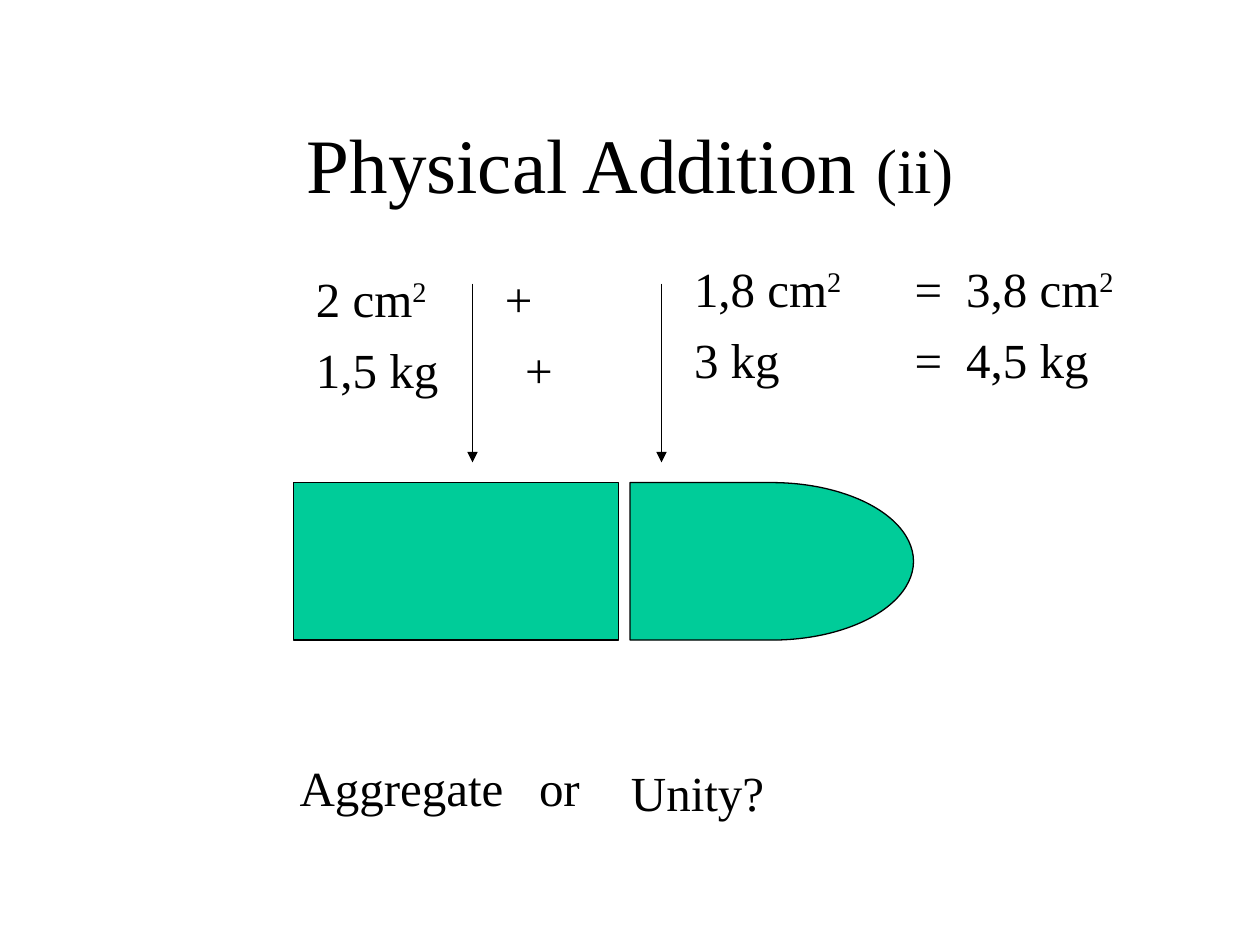
from dataclasses import dataclass

from lxml.etree import SubElement
from pptx import Presentation
from pptx.dml.color import RGBColor
from pptx.enum.shapes import MSO_CONNECTOR as Connector, MSO_SHAPE as Shape
from pptx.enum.text import MSO_ANCHOR as Anchor, MSO_AUTO_SIZE as AutoSize, PP_ALIGN as Align
from pptx.oxml.ns import qn
from pptx.util import Inches, Pt


@dataclass(frozen=True)
class Theme:
    font: str = "Times New Roman"
    ink: RGBColor = RGBColor(0x00, 0x00, 0x00)
    body_fill: RGBColor = RGBColor(0x00, 0xCC, 0x99)
    title_size: int = 44
    suffix_size: int = 36
    text_size: int = 28
    paragraph_gap: int = 7
    line_width: float = 0.75


THEME = Theme()


def add_run(paragraph, text, size=THEME.text_size, superscript=False):
    run = paragraph.add_run()
    run.text = text
    run.font.name = THEME.font
    run.font.size = Pt(size)
    run.font.color.rgb = THEME.ink
    if superscript:
        run.font._element.set("baseline", "30000")


def add_tabs(paragraph, positions):
    tab_list = SubElement(paragraph._p.get_or_add_pPr(), qn("a:tabLst"))
    for position in positions:
        SubElement(tab_list, qn("a:tab"), pos=str(Inches(position)), algn="l")


def add_text(slide, box, lines, tabs=()):
    shape = slide.shapes.add_textbox(*map(Inches, box))
    frame = shape.text_frame
    frame.word_wrap = True
    for index, line in enumerate(lines):
        paragraph = frame.paragraphs[0] if index == 0 else frame.add_paragraph()
        if index:
            paragraph.space_before = Pt(THEME.paragraph_gap)
        if tabs:
            add_tabs(paragraph, tabs[index])
        for part in line.replace("²", "|²|").split("|"):
            if part:
                add_run(paragraph, part.replace("²", "2"), superscript=part == "²")


def add_title(slide, box):
    title = slide.shapes.title
    title.left, title.top, title.width, title.height = map(Inches, box)
    frame = title.text_frame
    frame.auto_size = AutoSize.NONE
    frame.vertical_anchor = Anchor.MIDDLE
    paragraph = frame.paragraphs[0]
    paragraph.alignment = Align.CENTER
    add_run(paragraph, "Physical Addition ", size=THEME.title_size)
    add_run(paragraph, "(ii)", size=THEME.suffix_size)


def add_sums(slide, box):
    left, top, width, height = box
    split = 3
    add_text(slide, (left, top + 0.08, split, height),
             ["2 cm²\t+", "1,5 kg\t+"], tabs=[(1.5, 1.66), (1.66,)])
    add_text(slide, (left + split, top, width - split, height),
             ["1,8 cm²\t=\t3,8 cm²", "3 kg\t=\t4,5 kg"], tabs=[(1.75, 2.16)] * 2)


def add_body(slide, kind, box):
    shape = slide.shapes.add_shape(kind, *map(Inches, box))
    shape.shadow.inherit = False
    shape.fill.solid()
    shape.fill.fore_color.rgb = THEME.body_fill
    shape.line.color.rgb = THEME.ink
    shape.line.width = Pt(THEME.line_width)


def add_arrow(slide, x, top, bottom):
    arrow = slide.shapes.add_connector(
        Connector.STRAIGHT, Inches(x), Inches(top), Inches(x), Inches(bottom))
    arrow.line.color.rgb = THEME.ink
    arrow.line.width = Pt(THEME.line_width)
    SubElement(arrow.line._get_or_add_ln(), qn("a:tailEnd"), type="triangle")
    SubElement(arrow._element.spPr, qn("a:effectLst"))


def add_bodies(slide, box):
    left, top, width, height = box
    block_width, gap = 2.58, 0.09
    nose_left = left + block_width + gap
    add_body(slide, Shape.FLOWCHART_PROCESS, (left, top, block_width, height))
    add_body(slide, Shape.FLOWCHART_DELAY,
             (nose_left, top, width - block_width - gap, height))
    for x in (left + 1.42, nose_left + 0.25):
        add_arrow(slide, x, top - 1.58, top - 0.16)


def add_question(slide, box):
    left, top, width, height = box
    split = 2.63
    add_text(slide, (left, top, split, height), ["Aggregate\tor"], tabs=[(1.9,)])
    add_text(slide, (left + split, top + 0.04, width - split, height), ["Unity?"])


def main():
    presentation = Presentation()
    presentation.slide_width = Inches(10)
    presentation.slide_height = Inches(7.5)
    slide = presentation.slides.add_slide(presentation.slide_layouts[5])
    add_title(slide, (0.75, 0.67, 8.5, 1.25))
    add_sums(slide, (2.41, 2, 6.68, 1.2))
    add_bodies(slide, (2.33, 3.83, 4.92, 1.25))
    add_question(slide, (2.28, 5.96, 4.6, 0.55))
    presentation.save("out.pptx")


if __name__ == "__main__":
    main()
